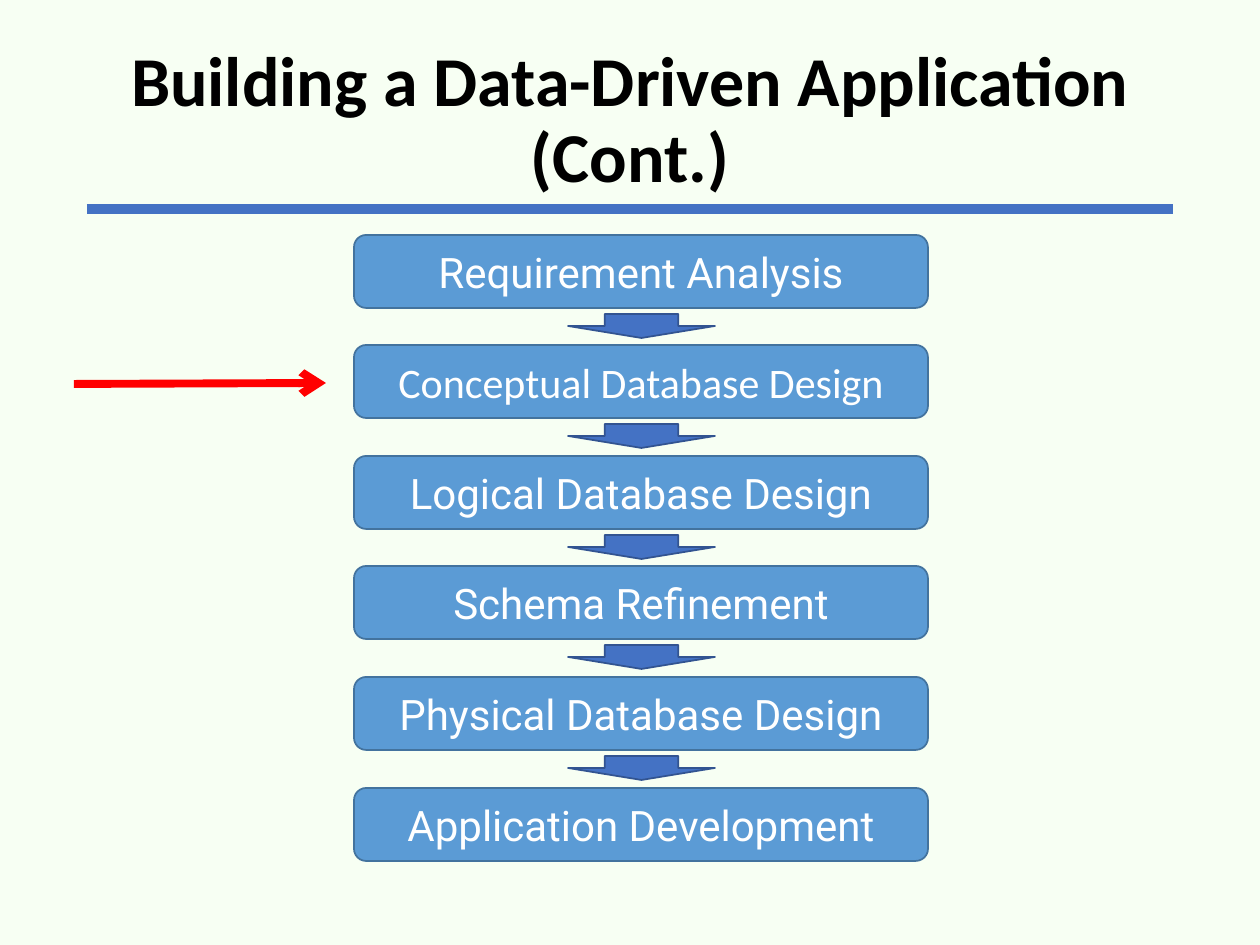
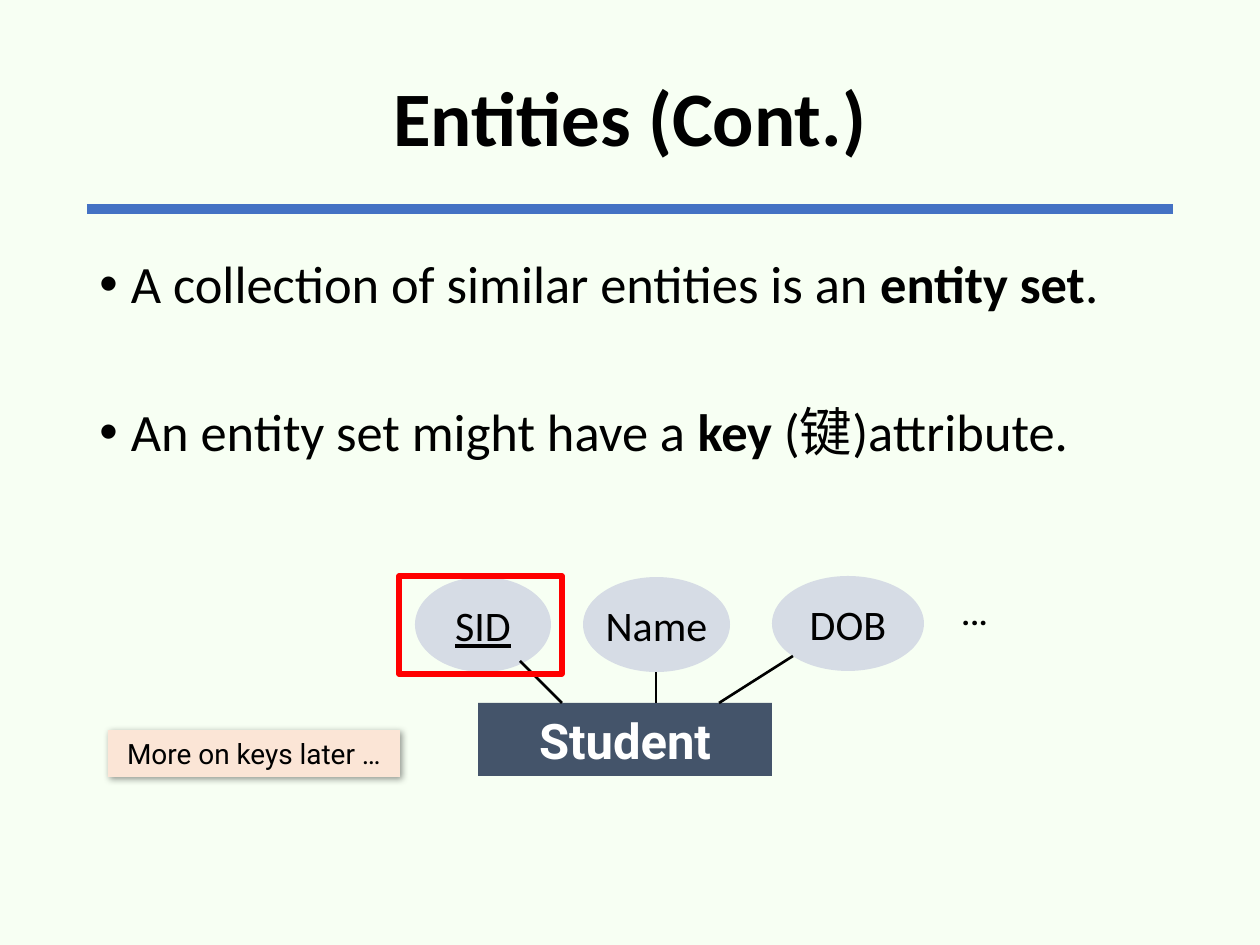
from lxml import etree
from pptx import Presentation
from pptx.dml.color import RGBColor
from pptx.enum.shapes import MSO_CONNECTOR, MSO_SHAPE
from pptx.enum.text import MSO_ANCHOR, PP_ALIGN
from pptx.oxml.ns import qn
from pptx.util import Pt

PX = 914400 / 126
RECT, ROUND = MSO_SHAPE.RECTANGLE, MSO_SHAPE.ROUNDED_RECTANGLE
DOWN, OVAL = MSO_SHAPE.DOWN_ARROW, MSO_SHAPE.OVAL
MIDDLE, TOP = MSO_ANCHOR.MIDDLE, MSO_ANCHOR.TOP
CENTER, LEFT = PP_ALIGN.CENTER, PP_ALIGN.LEFT
STRAIGHT = MSO_CONNECTOR.STRAIGHT

BACK = RGBColor(0xF7, 0xFF, 0xF3)
BLACK = RGBColor(0, 0, 0)
WHITE = RGBColor(255, 255, 255)
RED = RGBColor(255, 0, 0)
BLUE = RGBColor(0x44, 0x72, 0xC4)
NAVY = RGBColor(0x32, 0x54, 0x91)
SKY = RGBColor(0x5B, 0x9B, 0xD5)
STEEL = RGBColor(0x43, 0x73, 0x9E)
SLATE = RGBColor(0x44, 0x54, 0x6A)
PALE = RGBColor(0xD6, 0xDC, 0xE5)
PEACH = RGBColor(0xFB, 0xE5, 0xD6)


def put(slide, kind, box, text="", fill=None, edge=None, width=1, size=24,
        font="Calibri", color=BLACK, bold=False, under=False, align=CENTER,
        anchor=MIDDLE, wrap=True, lead=None, gap=0, bullet=False):
    """Add a shape, or a text box if kind is None; *stars* in text mark bold."""
    place = [round(n * PX) for n in box]
    if kind is None:
        shape = slide.shapes.add_textbox(*place)
    else:
        shape = slide.shapes.add_shape(kind, *place)
        shape.shadow.inherit = False
        if fill is None:
            shape.fill.background()
        else:
            shape.fill.solid()
            shape.fill.fore_color.rgb = fill
        if edge is None:
            shape.line.fill.background()
        else:
            shape.line.color.rgb = edge
            shape.line.width = Pt(width)
    if not text:
        return shape
    frame = shape.text_frame
    frame.word_wrap = wrap
    frame.vertical_anchor = anchor
    for i, row in enumerate(text.split("\n")):
        para = frame.paragraphs[0] if i == 0 else frame.add_paragraph()
        para.alignment = align
        if lead:
            para.line_spacing = lead
        if i:
            para.space_before = Pt(gap)
        if bullet:
            props = para._p.get_or_add_pPr()
            props.set("marL", "228600")
            props.set("indent", "-228600")
            etree.SubElement(props, qn("a:buFont"), typeface="Arial")
            etree.SubElement(props, qn("a:buChar"), char="•")
        for j, part in enumerate(row.split("*")):
            run = para.add_run()
            run.text = part
            run.font.size = Pt(size)
            run.font.name = font
            run.font.color.rgb = color
            run.font.bold = bold or j % 2 == 1
            run.font.underline = under
            if not part.isascii():
                etree.SubElement(run.font._element, qn("a:ea"),
                                 typeface="Noto Sans CJK SC")
    return shape


def link(slide, ends, color, width):
    line = slide.shapes.add_connector(STRAIGHT, *[round(n * PX) for n in ends])
    line.line.color.rgb = color
    line.line.width = Pt(width)
    etree.SubElement(line._element.spPr, qn("a:effectLst"))
    return line


deck = Presentation()
deck.slide_width = round(1260 * PX)
deck.slide_height = round(945 * PX)

# Shared frame: background, rule and title
pages = []
for title, size in (("Building a Data-Driven Application (Cont.)", 40),
                    ("Entities (Cont.)", 44)):
    page = deck.slides.add_slide(deck.slide_layouts[6])
    page.background.fill.solid()
    page.background.fill.fore_color.rgb = BACK
    link(page, (87, 209, 1173, 209), BLUE, 6)
    put(page, None, (87, 30, 1086, 183), title, size=size, bold=True, lead=0.9)
    pages.append(page)
flow, model = pages

# Slide 1: design steps, with a pointer to the current one
steps = (("Requirement Analysis", "Roboto"),
         ("Conceptual Database Design", "Calibri"),
         ("Logical Database Design", "Roboto"),
         ("Schema Refinement", "Roboto"),
         ("Physical Database Design", "Roboto"),
         ("Application Development", "Roboto"))
last = len(steps) - 1
for i, (step, font) in enumerate(steps):
    top = 235 + i * 553 // last
    put(flow, ROUND, (354, top, 574, 73), step, fill=SKY, edge=STEEL,
        font=font, color=WHITE)
    if i < last:
        put(flow, DOWN, (568, top + 79, 147, 24), fill=BLUE, edge=NAVY)
arrow = link(flow, (74, 384, 326, 383), RED, 4.5)
etree.SubElement(arrow.line._get_or_add_ln(), qn("a:tailEnd"), type="arrow")

# Slide 2: entity set with its attributes
put(model, None, (87, 252, 1086, 600),
    "A collection of similar entities is an *entity set*.\n"
    "An entity set might have a *key* (键)attribute.",
    size=30, align=LEFT, anchor=TOP, lead=0.9, gap=52, bullet=True)
put(model, RECT, (478, 703, 294, 73), "Student", fill=SLATE, size=28,
    font="Roboto", color=WHITE, bold=True, wrap=False)
for name, left, top, wide, ends in (
        ("Name", 583, 577, 147, (656, 703, 656, 672)),
        ("DOB", 772, 576, 152, (719, 703, 793, 656)),
        ("SID", 415, 577, 136, (562, 703, 520, 661))):
    put(model, OVAL, (left, top, wide, 95), name, fill=PALE, wrap=False,
        under=name == "SID")
    link(model, ends, BLACK, 1.5)
put(model, RECT, (399, 576, 163, 98), edge=RED, width=3)
put(model, None, (948, 577, 57, 63), "…", font="Roboto", align=LEFT,
    anchor=TOP, wrap=False)
note = put(model, RECT, (108, 730, 292, 47), "More on keys later …", fill=PEACH,
           size=16, font="Roboto", anchor=TOP)
glow = etree.SubElement(note._element.spPr.find(qn("a:effectLst")),
                        qn("a:outerShdw"), blurRad="50800", dist="12700",
                        dir="2700000", algn="tl", rotWithShape="0")
tint = etree.SubElement(glow, qn("a:srgbClr"), val="000000")
etree.SubElement(tint, qn("a:alpha"), val="40000")

deck.save("out.pptx")
